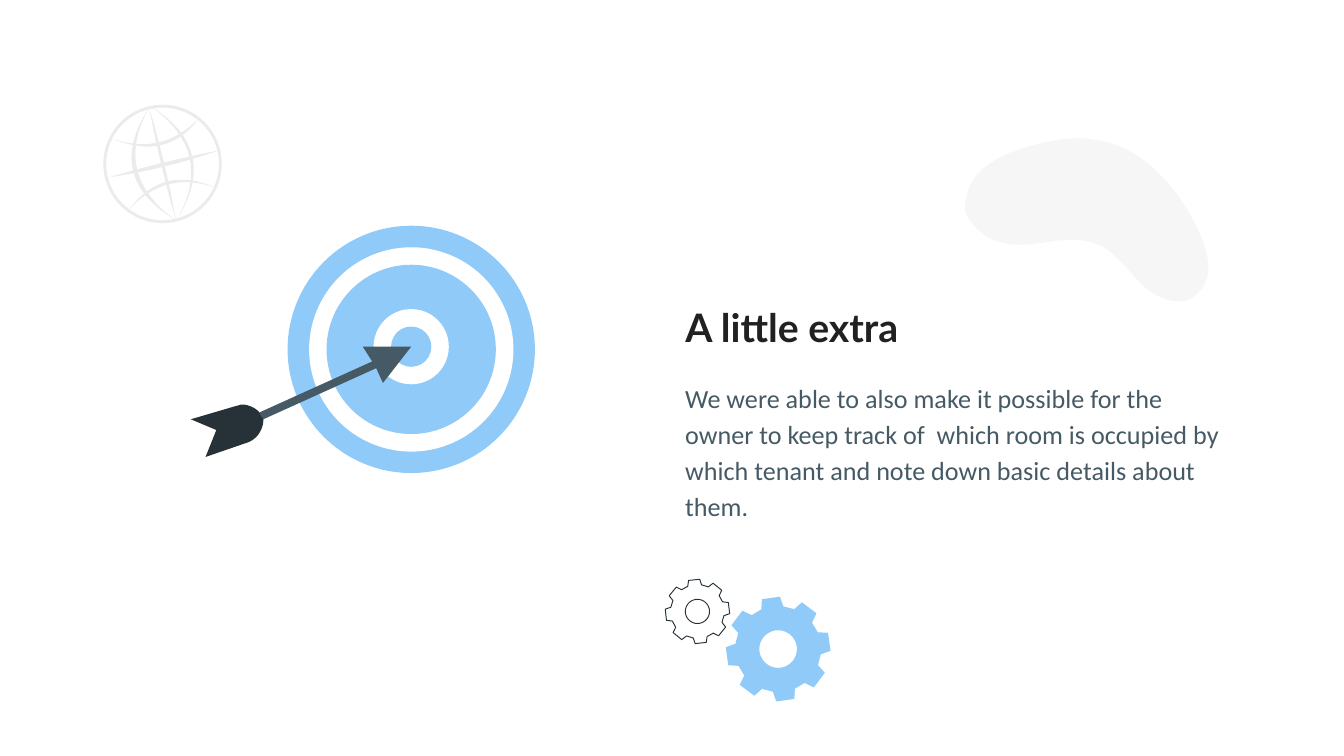
from dataclasses import dataclass
from math import cos, radians, sin
from typing import Optional

from lxml import etree
from pptx import Presentation
from pptx.dml.color import RGBColor
from pptx.enum.shapes import MSO_SHAPE
from pptx.enum.text import MSO_ANCHOR, PP_ALIGN
from pptx.oxml.ns import qn
from pptx.util import Inches, Pt

OVAL = MSO_SHAPE.OVAL
LEFT = PP_ALIGN.LEFT
TOP, MIDDLE = MSO_ANCHOR.TOP, MSO_ANCHOR.MIDDLE

COLORS = {
    "blue": "90CAF9",
    "white": "FFFFFF",
    "slate": "455A64",
    "ink": "263238",
    "title": "212121",
    "globe": "EBEBEB",
    "blob": "E0E0E0",
}
PAGE_WIDTH = 10
PAGE_HEIGHT = PAGE_WIDTH * 9 / 16
CURVE_STEPS = 16

Point = tuple[float, float]
Contour = list[Point]


@dataclass
class Style:
    fill: Optional[str] = None
    line: Optional[str] = None
    width: float = 0
    opacity: int = 100


@dataclass
class Disc:
    center: Point
    radius: float
    style: Style


@dataclass
class Gear:
    center: Point
    tip: float
    valley: float
    hole: float
    turn: float
    style: Style


@dataclass
class GridLine:
    """A globe line that tapers to both ends, given by its two edges' midpoints."""
    start: Point
    outer: Point
    inner: Point
    end: Point


@dataclass
class TextBlock:
    text: str
    frame: tuple[float, float, float, float]
    anchor: MSO_ANCHOR
    font: dict
    color: str
    paragraph: dict


BLUE, WHITE = Style("blue"), Style("white")
TARGET = [
    Disc((3.06, 2.6), 0.92, BLUE),
    Disc((3.06, 2.6), 0.76, WHITE),
    Disc((3.06, 2.6), 0.63, BLUE),
    Disc((3.06, 2.58), 0.28, WHITE),
    Disc((3.06, 2.58), 0.15, BLUE),
]
GEARS = [
    Gear((5.79, 4.83), 0.39, 0.32, 0.14, -98, BLUE),
    Gear((5.19, 4.55), 0.24, 0.2, 0.09, -96, Style(line="ink", width=0.5)),
]
GLOBE_RIM = Disc((1.21, 1.22), 0.43, Style(line="globe", width=1.5))
GLOBE_GRID = [
    GridLine((0.83, 1.03), (1.2, 1.08), (1.18, 1.06), (1.48, 0.88)),
    GridLine((0.96, 1.56), (1.25, 1.35), (1.26, 1.37), (1.61, 1.4)),
    GridLine((0.81, 1.32), (1.22, 1.24), (1.22, 1.21), (1.63, 1.12)),
    GridLine((1.11, 0.8), (1.2, 1.22), (1.22, 1.21), (1.31, 1.64)),
    GridLine((1.11, 0.8), (0.99, 1.27), (1.02, 1.26), (1.31, 1.64)),
    GridLine((1.12, 0.79), (1.43, 1.16), (1.41, 1.17), (1.32, 1.63)),
]
# Each segment lists its control points and end: one is a line, three a cubic.
BLOB = [
    (7.27, 1.7),
    [(7.31, 1.74), (7.36, 1.78), (7.41, 1.79)],
    [(7.54, 1.84), (7.67, 1.82), (7.8, 1.8)],
    [(7.94, 1.78), (8.07, 1.77), (8.19, 1.83)],
    [(8.24, 1.85), (8.28, 1.89), (8.32, 1.93)],
    [(8.38, 1.98), (8.43, 2.05), (8.49, 2.11)],
    [(8.6, 2.22), (8.77, 2.29), (8.88, 2.21)],
    [(8.95, 2.16), (8.99, 2.08), (8.99, 2)],
    [(8.99, 1.92), (8.97, 1.84), (8.94, 1.77)],
    [(8.86, 1.58), (8.75, 1.41), (8.6, 1.27)],
    [(8.41, 1.08), (8.15, 1), (7.89, 1.04)],
    [(7.63, 1.08), (7.22, 1.19), (7.19, 1.48)],
    [(7.16, 1.56), (7.2, 1.64), (7.27, 1.7)],
]
ARROW = [(2.7, 2.58), (2.77, 2.69), (1.93, 3.07), (1.96, 3.12),
         (2.8, 2.74), (2.85, 2.85), (3.06, 2.58)]
FLETCHING = [
    (1.8, 3.01),
    [(1.79, 3.01), (1.77, 3.02), (1.76, 3.02)],
    [(1.42, 3.12)], [(1.61, 3.2)], [(1.53, 3.4)], [(1.85, 3.29)],
    [(1.92, 3.26), (1.96, 3.19), (1.96, 3.12)],
    [(1.93, 3.07)],
    [(1.92, 3.05), (1.86, 3.01), (1.8, 3.01)],
]
TITLE = TextBlock("A little extra", (5, 2.16, 4.22, 0.57), TOP,
                  {"name": "Lato", "size": Pt(21), "bold": True}, "title",
                  {"alignment": LEFT})
BODY = TextBlock(
    "We were able to also make it possible for the owner to keep track of  which "
    "room is occupied by which tenant and note down basic details about them.",
    (5, 2.72, 4.22, 1.25), MIDDLE,
    {"name": "Calibri", "size": Pt(14), "bold": False}, "slate",
    {"alignment": LEFT, "line_spacing": 1.15, "space_after": Pt(16)})


def rgb(name: str) -> RGBColor:
    return RGBColor.from_string(COLORS[name])


def apply_style(shape, style: Style) -> None:
    shape.shadow.inherit = False
    if style.fill:
        shape.fill.solid()
        shape.fill.fore_color.rgb = rgb(style.fill)
        if style.opacity < 100:
            color = shape.fill._xPr.find(".//" + qn("a:srgbClr"))
            etree.SubElement(color, qn("a:alpha"), val=str(style.opacity * 1000))
    else:
        shape.fill.background()
    if style.line:
        shape.line.color.rgb = rgb(style.line)
        shape.line.width = Pt(style.width)
    else:
        shape.line.fill.background()


def bezier(points: list[Point], t: float) -> Point:
    while len(points) > 1:
        points = [(a[0] + (b[0] - a[0]) * t, a[1] + (b[1] - a[1]) * t)
                  for a, b in zip(points, points[1:])]
    return points[0]


def trace(start: Point, segments: list[list[Point]]) -> Contour:
    contour = [start]
    for segment in segments:
        steps = 1 if len(segment) == 1 else CURVE_STEPS
        controls = [contour[-1], *segment]
        contour += [bezier(controls, step / steps) for step in range(1, steps + 1)]
    return contour


def polar(center: Point, radius: float, degrees: float) -> Point:
    angle = radians(degrees)
    return center[0] + radius * cos(angle), center[1] + radius * sin(angle)


def draw_outline(page, contours: list[Contour], style: Style) -> None:
    scaled = [[(Inches(x), Inches(y)) for x, y in contour] for contour in contours]
    builder = page.shapes.build_freeform(*scaled[0][0], scale=1.0)
    for index, contour in enumerate(scaled):
        if index:
            builder.move_to(*contour[0])
        builder.add_line_segments(contour[1:], close=True)
    apply_style(builder.convert_to_shape(), style)


def draw_disc(page, disc: Disc) -> None:
    (x, y), radius = disc.center, disc.radius
    frame = (x - radius, y - radius, 2 * radius, 2 * radius)
    apply_style(page.shapes.add_shape(OVAL, *map(Inches, frame)), disc.style)


def draw_gear(page, gear: Gear) -> None:
    corners = [(gear.valley, -15), (gear.tip, -10), (gear.tip, 10), (gear.valley, 15)]
    teeth = [polar(gear.center, radius, gear.turn + 45 * tooth + offset)
             for tooth in range(8) for radius, offset in corners]
    hole = [polar(gear.center, gear.hole, -degrees) for degrees in range(0, 360, 10)]
    draw_outline(page, [teeth, hole], gear.style)


def draw_grid_line(page, line: GridLine) -> None:
    middle = bezier([line.start, line.end], 0.5)
    outer, inner = [(2 * x - middle[0], 2 * y - middle[1])
                    for x, y in (line.outer, line.inner)]
    contour = trace(line.start, [[outer, line.end], [inner, line.start]])
    draw_outline(page, [contour], Style("globe"))


def fill_text(box, block: TextBlock) -> None:
    box.left, box.top, box.width, box.height = map(Inches, block.frame)
    frame = box.text_frame
    margins = {f"margin_{side}": Inches(0.1) for side in ("left", "top", "right", "bottom")}
    para = frame.paragraphs[0]
    span = para.add_run()
    span.text = block.text
    span.font.color.rgb = rgb(block.color)
    layout = {"word_wrap": True, "vertical_anchor": block.anchor, **margins}
    for target, values in ((frame, layout), (para, block.paragraph), (span.font, block.font)):
        for name, value in values.items():
            setattr(target, name, value)


def main() -> None:
    deck = Presentation()
    deck.slide_width, deck.slide_height = Inches(PAGE_WIDTH), Inches(PAGE_HEIGHT)
    page = deck.slides.add_slide(deck.slide_layouts[5])
    for gear in GEARS:
        draw_gear(page, gear)
    draw_outline(page, [trace(BLOB[0], BLOB[1:])], Style("blob", opacity=29))
    draw_disc(page, GLOBE_RIM)
    for line in GLOBE_GRID:
        draw_grid_line(page, line)
    for disc in TARGET:
        draw_disc(page, disc)
    draw_outline(page, [ARROW], Style("slate"))
    draw_outline(page, [trace(FLETCHING[0], FLETCHING[1:])], Style("ink"))
    fill_text(page.shapes.title, TITLE)
    fill_text(page.shapes.add_textbox(*map(Inches, BODY.frame)), BODY)
    deck.save("out.pptx")


if __name__ == "__main__":
    main()
